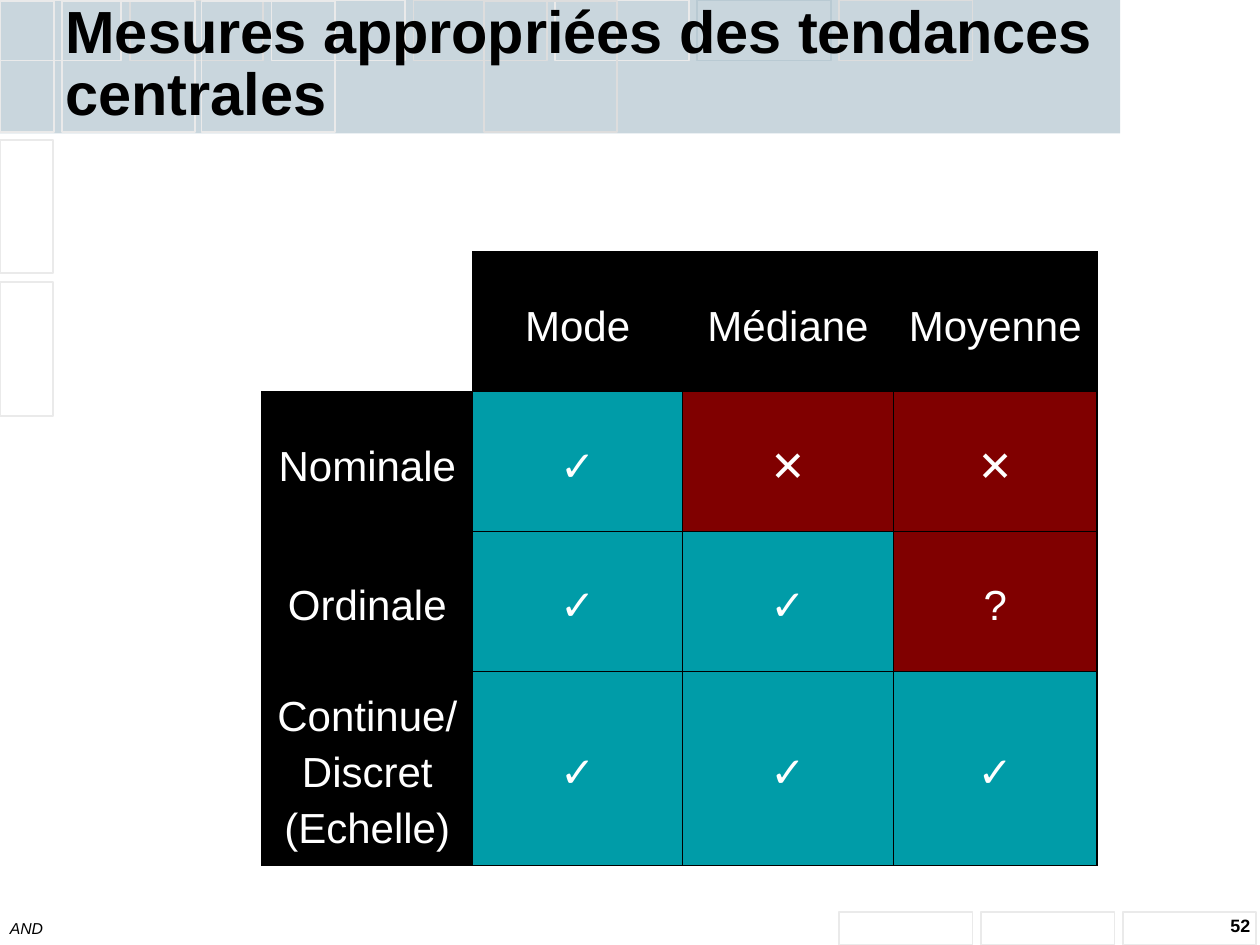
from dataclasses import dataclass

from pptx import Presentation
from pptx import util as u
from pptx.dml.color import RGBColor
from pptx.enum import shapes, text
from pptx.oxml import parse_xml
from pptx.oxml.ns import nsdecls

Inches = u.Inches


@dataclass(frozen=True)
class Theme:
    font: str = "Arial"
    ink: str = "000000"
    paper: str = "FFFFFF"
    band: str = "C9D6DD"
    pale: str = "EAEAEA"
    grey: str = "DDDDDD"
    blue: str = "B9CAD3"
    yes: str = "009CA8"
    no: str = "800000"
    title: float = 34
    body: float = 24
    foot: float = 9
    page: float = 10.2
    thin: float = 0.45
    thick: float = 1.08


T = Theme()
HEADS = ["", "Mode", "Médiane", "Moyenne"]
ROWS = [
    ["Nominale", "✓", "✕", "✕"],
    ["Ordinale", "✓", "✓", "?"],
    ["Continue/Discret (Echelle)", "✓", "✓", "✓"],
]


def rgb(hue):
    return RGBColor.from_string(hue)


def style(par, size, hue=T.ink, bold=False, slant=False):
    font = par.font
    font.name, font.size = T.font, u.Pt(size)
    font.bold, font.italic = bold, slant
    font.color.rgb = rgb(hue)


def block(slide, box, fill=None, line=None):
    """Add a plain rectangle, filled or outlined."""
    shape = slide.shapes.add_shape(shapes.MSO_SHAPE.RECTANGLE, *map(Inches, box))
    shape.shadow.inherit = False
    if fill:
        shape.fill.solid()
        shape.fill.fore_color.rgb = rgb(fill)
    else:
        shape.fill.background()
    if line:
        shape.line.color.rgb = rgb(line)
        shape.line.width = u.Pt(1)
    else:
        shape.line.fill.background()


def decor(slide, box):
    """Draw the title band and the grid of outlined tiles."""
    left, top, wide, high = box
    block(slide, (left, top, 8.89, 1.06), fill=T.band)
    side, step, first = 1.06, 1.126, 1.03
    block(slide, (left, top, 0.96, 0.48), line=T.pale)
    hues = [T.grey, T.pale, T.grey, T.pale, T.blue, T.grey]
    for i, hue in enumerate(hues):
        block(slide, (left + first + i * step, top, side, 0.48), line=hue)
    for x, w, hue in [(0, 0.43, T.pale), (0.49, side, T.pale),
                      (1.6, side, T.pale), (3.84, side, T.grey)]:
        block(slide, (left + x, top + 0.01, w, 1.04), line=hue)
    for y in (1.11, 2.24):
        block(slide, (left, top + y, 0.42, side), line=T.pale)
    for i in range(5, 8):
        x = first + i * step
        block(slide, (left + x, top + high - 0.26, min(side, wide - x), 0.26),
              line=T.pale)


def title(slide, box):
    shape = slide.shapes.title
    slide.shapes.element.append(shape.element)  # in front of the tiles
    shape.left, shape.top, shape.width, shape.height = map(Inches, box)
    frame = shape.text_frame
    frame.text = "Mesures appropriées des tendances centrales"
    frame.word_wrap = True
    frame.auto_size = text.MSO_AUTO_SIZE.NONE
    frame.vertical_anchor = text.MSO_ANCHOR.BOTTOM
    frame.margin_top = frame.margin_bottom = 0
    par = frame.paragraphs[0]
    par.alignment, par.line_spacing = text.PP_ALIGN.LEFT, 0.88
    style(par, T.title, bold=True)


def note(slide, box, words, size, align=text.PP_ALIGN.LEFT, space=1.0, **look):
    frame = slide.shapes.add_textbox(*map(Inches, box)).text_frame
    frame.word_wrap = True
    frame.text = words
    par = frame.paragraphs[0]
    par.alignment, par.line_spacing = align, space
    style(par, size, **look)


def edge(cell, side, width):
    """Set one cell border; a width of 0 hides it."""
    paint = (f'<a:solidFill><a:srgbClr val="{T.ink}"/></a:solidFill>'
             if width else "<a:noFill/>")
    cell._tc.get_or_add_tcPr().append(parse_xml(
        f'<a:ln{side} {nsdecls("a")} w="{u.Pt(width)}">{paint}</a:ln{side}>'))


def label(cell, words):
    cell.text = words
    cell.vertical_anchor = text.MSO_ANCHOR.MIDDLE
    par = cell.text_frame.paragraphs[0]
    par.alignment, par.line_spacing = text.PP_ALIGN.CENTER, 1.2
    par.space_before = u.Pt(15)
    style(par, T.body, T.paper)


def grid(slide, box):
    data = [HEADS] + ROWS
    table = slide.shapes.add_table(4, 4, *map(Inches, box)).table
    table.first_row = table.horz_banding = False
    for col, wide in zip(table.columns, (1.67, 1.67, 1.67, 1.62)):
        col.width = Inches(wide)
    for row, high in zip(table.rows, (1.11, 1.11, 1.11, 1.54)):
        row.height = Inches(high)
    for r, row in enumerate(data):
        for c, words in enumerate(row):
            cell = table.cell(r, c)
            rims = {"L": c == 0, "R": c == 3, "T": r == 0, "B": r == 3}
            for side, outer in rims.items():
                width = T.thick if outer else T.thin
                edge(cell, side, width if words or not outer else 0)
            if not words:
                cell.fill.background()
                continue
            label(cell, words)
            cell.fill.solid()
            hue = T.ink if 0 in (r, c) else T.yes if words == "✓" else T.no
            cell.fill.fore_color.rgb = rgb(hue)


def main():
    deck = Presentation()
    deck.slide_width, deck.slide_height = Inches(10), Inches(7.5)
    slide = deck.slides.add_slide(deck.slide_layouts[5])
    fill = slide.background.fill
    fill.solid()
    fill.fore_color.rgb = rgb(T.band)
    page = (0, 0, 10, 7.5)
    block(slide, page, fill=T.paper)
    decor(slide, page)
    note(slide, (-0.02, 7.24, 3.17, 0.26), "AND", T.foot, slant=True)
    note(slide, (7.94, 7.23, 2.08, 0.27), "52", T.page,
         text.PP_ALIGN.RIGHT, 0.9, bold=True)
    title(slide, (0.42, 0.01, 8.41, 1.01))
    grid(slide, (2.08, 2, 6.63, 4.87))
    deck.save("out.pptx")


if __name__ == "__main__":
    main()
